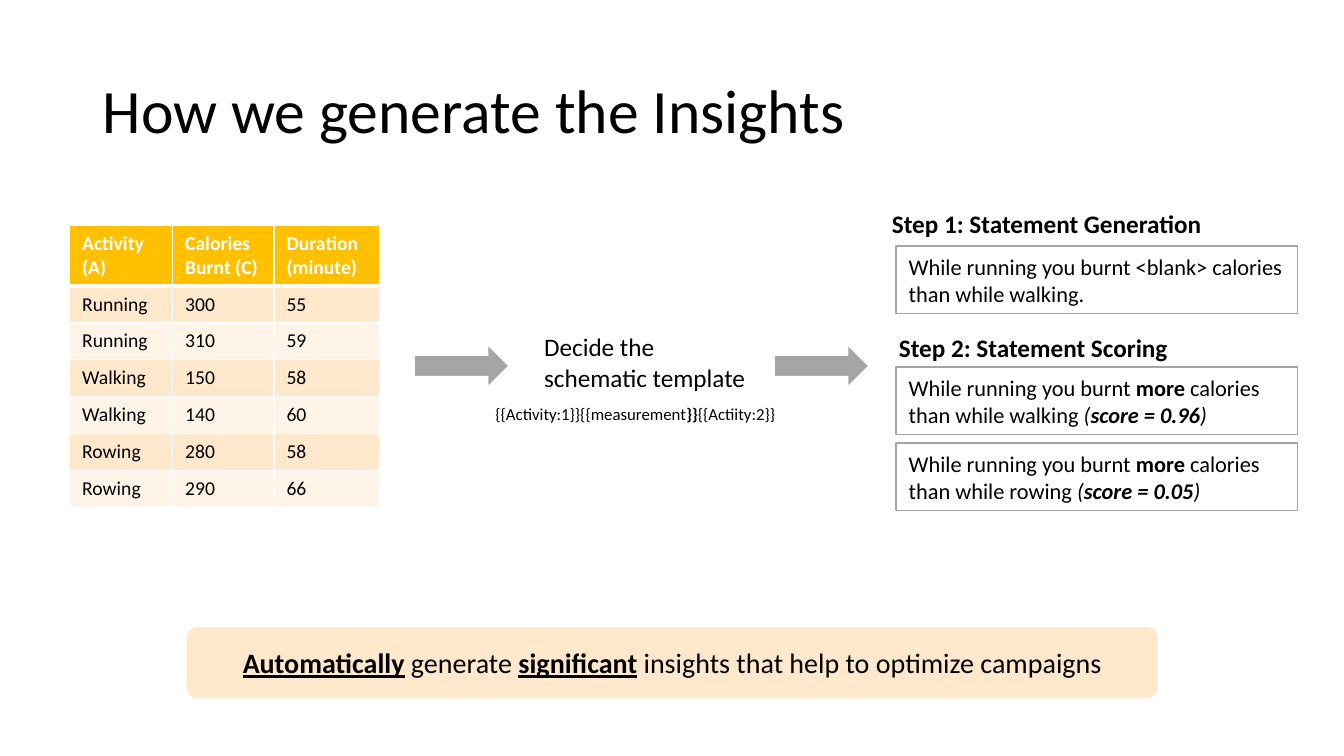
import pptx
import pptx.dml.color
import pptx.enum.shapes
import pptx.enum.text
import pptx.oxml
import pptx.oxml.ns
import pptx.util

Pt = pptx.util.Pt
SHAPE = pptx.enum.shapes.MSO_SHAPE
ANCHOR = pptx.enum.text.MSO_ANCHOR
ALIGN = pptx.enum.text.PP_ALIGN

FONT = "Calibri"
BLACK, WHITE, GREY, GOLD = "000000", "FFFFFF", "A5A5A5", "FFC000"
BANDS = ("FFF4E7", "FFE8CC")
WIDE_INSETS = (9, 5)
STYLES = {"b": "bold", "i": "italic", "u": "underline"}

ACTIVITIES = [
    ("Activity\n(A)", "Calories\nBurnt (C)", "Duration\n(minute)"),
    ("Running", "300", "55"),
    ("Running", "310", "59"),
    ("Walking", "150", "58"),
    ("Walking", "140", "60"),
    ("Rowing", "280", "58"),
    ("Rowing", "290", "66"),
]


def rgb(color):
    """Turn a hex string into a colour."""
    return pptx.dml.color.RGBColor.from_string(color)


def apply(target, values):
    """Set every attribute named in values on target."""
    for name, value in values.items():
        setattr(target, name, value)


def write(frame, runs, size, color=BLACK, insets=None, **paragraph_format):
    """Fill a text frame with one paragraph of (text, style letters) runs."""
    frame.word_wrap = True
    if insets:
        side, end = map(Pt, insets)
        apply(frame, {"margin_left": side, "margin_right": side,
                      "margin_top": end, "margin_bottom": end})
    paragraph = frame.paragraphs[0]
    apply(paragraph, paragraph_format)
    for text, letters in runs:
        run = paragraph.add_run()
        run.text = text
        apply(run.font, {"name": FONT, "size": Pt(size)})
        apply(run.font, {STYLES[letter]: True for letter in letters})
        run.font.color.rgb = rgb(color)


def add_title(slide, text):
    """Place and format the title placeholder."""
    title = slide.shapes.title
    apply(title, {"left": Pt(66.24), "top": Pt(28.8), "width": Pt(828), "height": Pt(104.4)})
    apply(title.text_frame, {"vertical_anchor": ANCHOR.MIDDLE,
                             "auto_size": pptx.enum.text.MSO_AUTO_SIZE.NONE})
    write(title.text_frame, [(text, "")], 44, alignment=ALIGN.LEFT, line_spacing=0.9)


def add_label(slide, box, runs, size, insets=None):
    """Add a plain text box."""
    label = slide.shapes.add_textbox(*map(Pt, box))
    write(label.text_frame, runs, size, insets=insets)


def add_block(slide, kind, box, fill, line, line_width=1):
    """Add a filled and outlined preset shape."""
    block = slide.shapes.add_shape(kind, *map(Pt, box))
    block.shadow.inherit = False
    block.fill.solid()
    block.fill.fore_color.rgb = rgb(fill)
    block.line.color.rgb = rgb(line)
    block.line.width = Pt(line_width)
    return block


def add_statement(slide, top, runs):
    """Add one outlined statement box."""
    statement = add_block(slide, SHAPE.RECTANGLE, (640.08, top, 286.56, 48.3), WHITE, GREY)
    statement.text_frame.vertical_anchor = ANCHOR.TOP
    write(statement.text_frame, runs, 16, insets=WIDE_INSETS, alignment=ALIGN.LEFT)


def border_cell(cell, widths):
    """Draw white cell borders with a width in points for each side."""
    properties = cell._tc.get_or_add_tcPr()
    for side, width in widths.items():
        properties.append(pptx.oxml.parse_xml(
            f'<a:ln{side} {pptx.oxml.ns.nsdecls("a")} w="{Pt(width)}">'
            f'<a:solidFill><a:srgbClr val="{WHITE}"/></a:solidFill></a:ln{side}>'))


def add_activity_table(slide):
    """Add the banded table of activities."""
    columns, heights = (73.6, 72.4, 75.8), [43.2] + [26.3] * 6
    table = slide.shapes.add_table(
        len(ACTIVITIES), len(columns), Pt(49.68), Pt(161.28),
        Pt(sum(columns)), Pt(sum(heights))).table
    for column, width in zip(table.columns, columns):
        column.width = Pt(width)
    for row_index, texts in enumerate(ACTIVITIES):
        table.rows[row_index].height = Pt(heights[row_index])
        header = row_index == 0
        for column_index, text in enumerate(texts):
            cell = table.cell(row_index, column_index)
            border_cell(cell, {"L": 1, "R": 1, "T": 3 if row_index == 1 else 1,
                               "B": 3 if header else 1})
            cell.fill.solid()
            cell.fill.fore_color.rgb = rgb(GOLD if header else BANDS[row_index % 2])
            apply(cell, {"margin_left": Pt(9), "margin_right": Pt(9),
                         "margin_top": Pt(4.5), "margin_bottom": Pt(4.5)})
            cell.text = text
            for paragraph in cell.text_frame.paragraphs:
                apply(paragraph.font, {"name": FONT, "size": Pt(14), "bold": header})
                for run in paragraph.runs:
                    apply(run.font, {"name": FONT, "size": Pt(14), "bold": header})
                    run.font.color.rgb = rgb(WHITE if header else BLACK)


def main():
    """Build the slide and save it."""
    deck = pptx.Presentation()
    apply(deck, {"slide_width": Pt(960), "slide_height": Pt(540)})
    slide = deck.slides.add_slide(deck.slide_layouts[5])

    add_title(slide, "How we generate the Insights")
    add_activity_table(slide)

    for left in (295.92, 552.96):
        add_block(slide, SHAPE.RIGHT_ARROW, (left, 246.24, 67.68, 30.24), GREY, WHITE)
    add_label(slide, (381.6, 233.28, 161.28, 51.12), [("Decide the schematic template", "")], 18)

    add_statement(slide, 175.68, [
        ("While running you burnt <blank> calories than while walking.", "")])
    for top, activity, score in ((262.08, "walking", "0.96"), (316.4, "rowing", "0.05")):
        add_statement(slide, top, [
            ("While running you burnt ", ""), ("more", "b"),
            (f" calories than while {activity} ", ""),
            ("(", "i"), (f"score = {score}", "bi"), (")", "i")])

    add_label(slide, (630, 145.44, 251.28, 28.8), [("Step 1: Statement Generation", "b")], 18)
    add_label(slide, (635.04, 234, 240.48, 28.8), [("Step 2: Statement Scoring", "b")], 18)
    add_label(slide, (344.88, 283.68, 237.6, 24.48), [
        ("{{Activity:1}}{{measurement", ""), ("}}", "b"), ("{{Actiity:2}}", "")],
        12, WIDE_INSETS)

    summary = add_block(slide, SHAPE.ROUNDED_RECTANGLE, (132.48, 447.12, 695.52, 52.56),
                        "FFE8CB", WHITE, 1.5)
    summary.text_frame.vertical_anchor = ANCHOR.MIDDLE
    write(summary.text_frame, [
        ("Automatically", "bu"), (" generate ", ""), ("significant", "bu"),
        (" insights that help to optimize campaigns", "")], 20, alignment=ALIGN.CENTER)

    deck.save("out.pptx")


if __name__ == "__main__":
    main()
